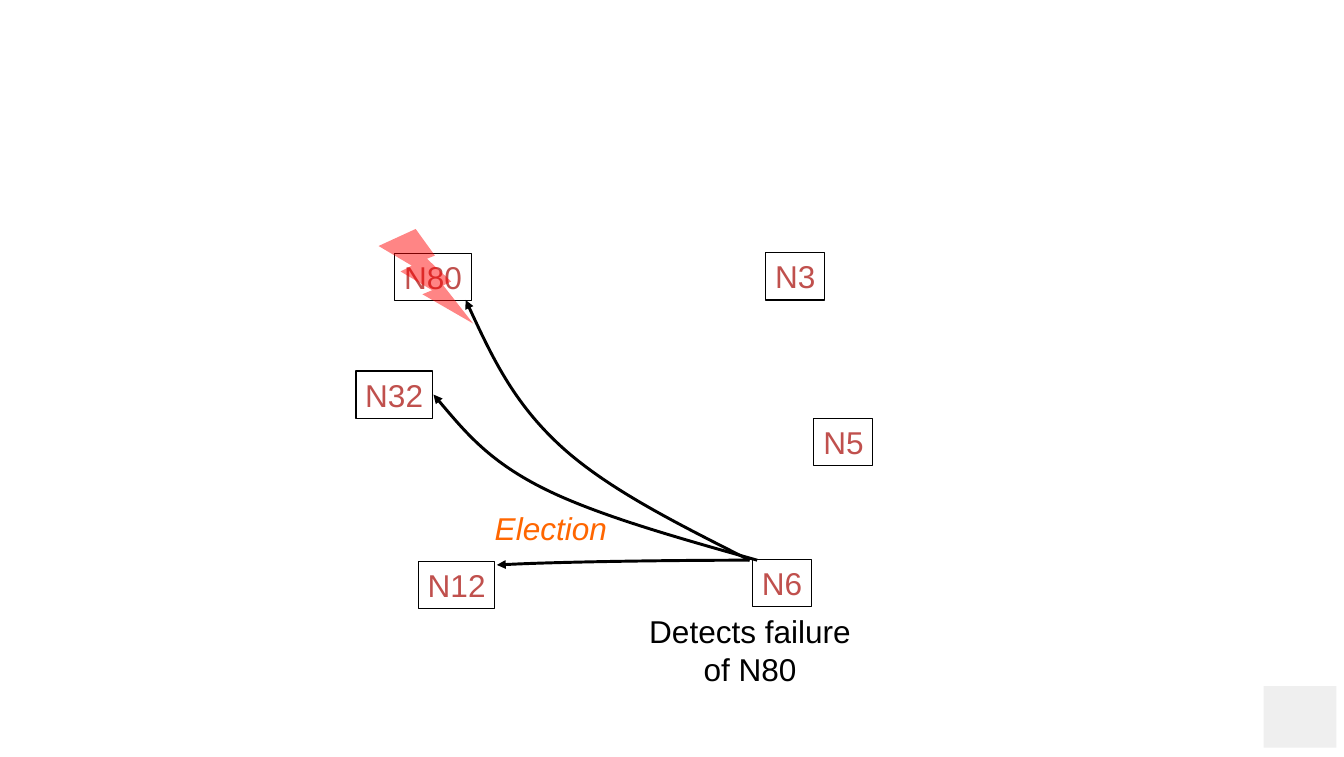
import pptx
import pptx.dml.color
import pptx.enum.shapes
import pptx.enum.text
import pptx.oxml
import pptx.oxml.ns
import pptx.util

Inches = pptx.util.Inches
Shapes = pptx.enum.shapes.MSO_SHAPE
Align = pptx.enum.text.PP_ALIGN
qn = pptx.oxml.ns.qn

COLORS = {
    "line": "000000",
    "node": "C0504D",
    "message": "FF6600",
    "failure": "FF0000",
    "corner": "EFEFEF",
}
NODES = [
    ("N12", 0.66, 3.51, 0.75),
    ("N5", 4.84, 2.0, 0.75),
    ("N6", 4.19, 3.49, 0.75),
    ("N80", 0.41, 0.26, 1),
    ("N32", 0, 1.5, 1),
    ("N3", 4.33, 0.25, 1),
]
NODE_WIDTHS = {2: 0.62, 3: 0.81}
ARROW_TO_N12 = [(4.16, 3.5), (3.49, 3.5), (2.82, 3.51), (2.38, 3.52),
                (1.93, 3.53), (1.71, 3.54), (1.49, 3.55)]
ARROW_TO_N32 = [(4.24, 3.5), (3.39, 3.26), (2.53, 3.02), (1.96, 2.73),
                (1.39, 2.44), (1.11, 2.09), (0.82, 1.75)]
ARROW_TO_N80 = [(4.16, 3.5), (3.41, 3.12), (2.66, 2.75), (2.16, 2.29),
                (1.66, 1.83), (1.41, 1.29), (1.16, 0.75)]


def rgb(name):
    """Return the named colour."""
    return pptx.dml.color.RGBColor.from_string(COLORS[name])


def write_text(box, text, color="line", size=24, italic=False,
               align=Align.CENTER, indent=0):
    """Write each line of text as an unwrapped paragraph of a box."""
    frame = box.text_frame
    frame.word_wrap = False
    frame.auto_size = pptx.enum.text.MSO_AUTO_SIZE.NONE
    frame.vertical_anchor = pptx.enum.text.MSO_ANCHOR.TOP
    frame.margin_left = Inches(indent)
    frame.margin_right = 0
    frame.text = text
    for para in frame.paragraphs:
        para.alignment = align
        for span in para.runs:
            span.font.name = "Arial"
            span.font.size = pptx.util.Pt(size)
            span.font.italic = italic
            span.font.color.rgb = rgb(color)


def add_filled(page, kind, left, top, width, height, color):
    """Add a preset shape with a plain fill and no outline."""
    shape = page.shapes.add_shape(
        kind, Inches(left), Inches(top), Inches(width), Inches(height))
    shape.shadow.inherit = False
    shape.fill.solid()
    shape.fill.fore_color.rgb = rgb(color)
    shape.line.fill.background()
    return shape


def add_node(page, label, left, top, weight):
    """Add an outlined process box."""
    box = page.shapes.add_shape(
        Shapes.RECTANGLE, Inches(left), Inches(top),
        Inches(NODE_WIDTHS[len(label)]), Inches(0.5))
    box.shadow.inherit = False
    box.fill.background()
    box.line.color.rgb = rgb("line")
    box.line.width = pptx.util.Pt(weight)
    write_text(box, label, color="node", align=Align.LEFT, indent=0.1)


def add_label(page, text, left, top, width, height, **style):
    """Add a centred label without outline."""
    box = page.shapes.add_textbox(
        Inches(left), Inches(top), Inches(width), Inches(height))
    write_text(box, text, **style)


def add_curved_arrow(page, left, top, points):
    """Draw a cubic curve through start, control and end points, with an arrowhead."""
    start, *rest = [(Inches(left + x), Inches(top + y)) for x, y in points]
    builder = page.shapes.build_freeform(*start)
    builder.add_line_segments(rest, close=False)
    curve = builder.convert_to_shape()
    curve.shadow.inherit = False
    curve.fill.background()
    curve.line.color.rgb = rgb("line")
    curve.line.width = pptx.util.Pt(2.25)
    segments = list(curve.element.iter(qn("a:lnTo")))
    outline = segments[0].getparent()
    for index in range(0, len(segments), 3):
        bezier = outline.makeelement(qn("a:cubicBezTo"), {})
        outline.append(bezier)
        for segment in segments[index:index + 3]:
            bezier.append(segment[0])
            outline.remove(segment)
    line = curve.element.spPr.find(qn("a:ln"))
    line.append(line.makeelement(qn("a:tailEnd"), {"type": "triangle"}))


def add_failure_bolt(page, left, top):
    """Add the translucent lightning bolt over the failed process."""
    bolt = add_filled(page, Shapes.LIGHTNING_BOLT, left, top, 1, 1, "failure")
    color = bolt.element.spPr.find(qn("a:solidFill"))[0]
    color.append(color.makeelement(qn("a:alpha"), {"val": "48000"}))


def add_election_ring(page, left, top):
    """Place the processes, election messages and labels from a top left corner."""
    for label, x, y, weight in NODES:
        add_node(page, label, left + x, top + y, weight)
    add_curved_arrow(page, left, top, ARROW_TO_N12)
    add_failure_bolt(page, left + 0.24, top)
    add_label(page, "Detects failure\nof N80", left + 3, top + 4, 2.33, 0.9)
    add_curved_arrow(page, left, top, ARROW_TO_N32)
    add_label(page, "Election", left + 1.37, top + 2.91, 1.38, 0.5,
              color="message", italic=True)
    add_curved_arrow(page, left, top, ARROW_TO_N80)


def main():
    """Build and save the deck."""
    deck = pptx.Presentation()
    deck.slide_width = Inches(14.2)
    deck.slide_height = Inches(8)
    page = deck.slides.add_slide(deck.slide_layouts[6])
    add_filled(page, Shapes.RECTANGLE, 13.35, 7.25, 0.77, 0.65, "corner")
    add_election_ring(page, 3.76, 2.42)
    deck.save("out.pptx")


if __name__ == "__main__":
    main()
